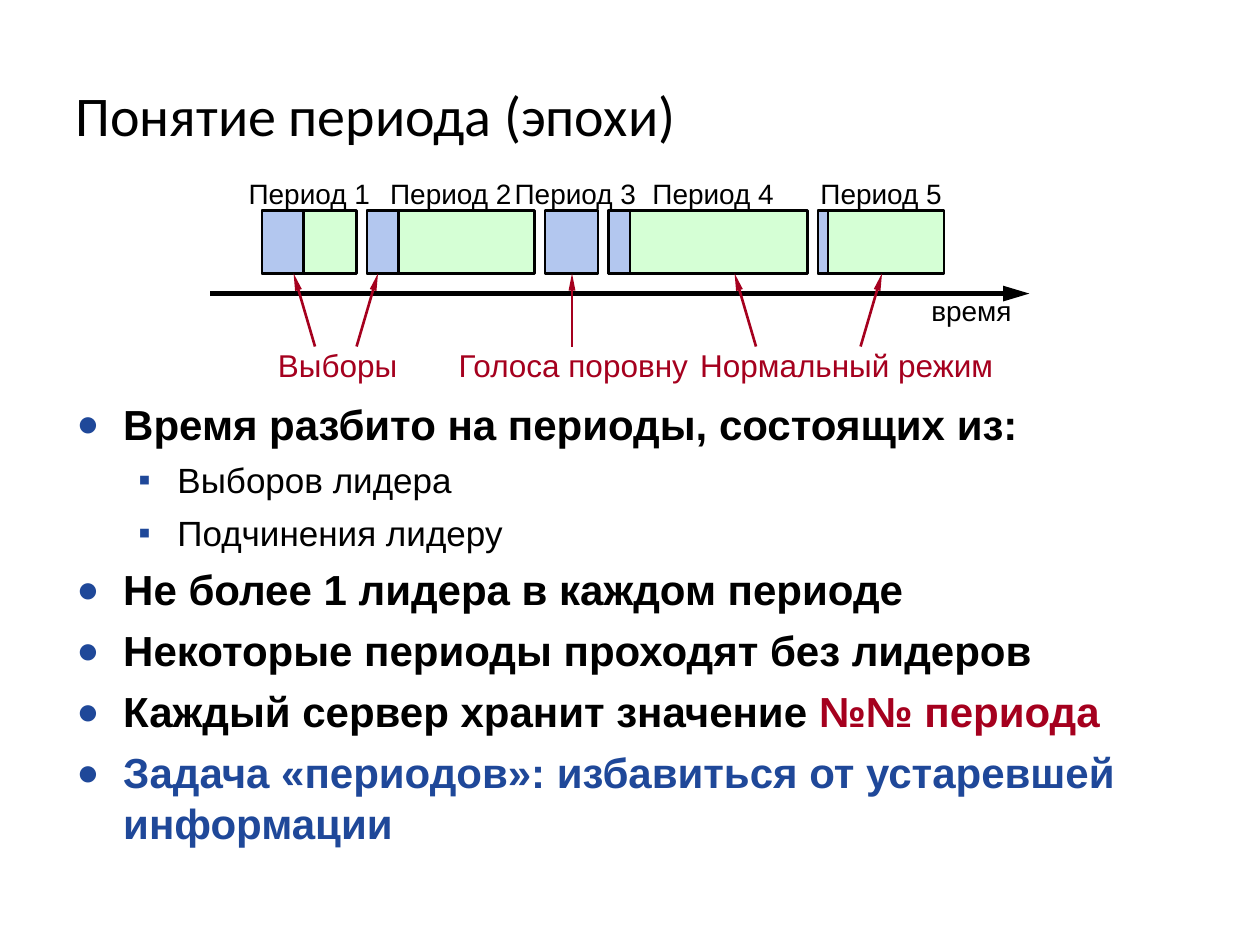
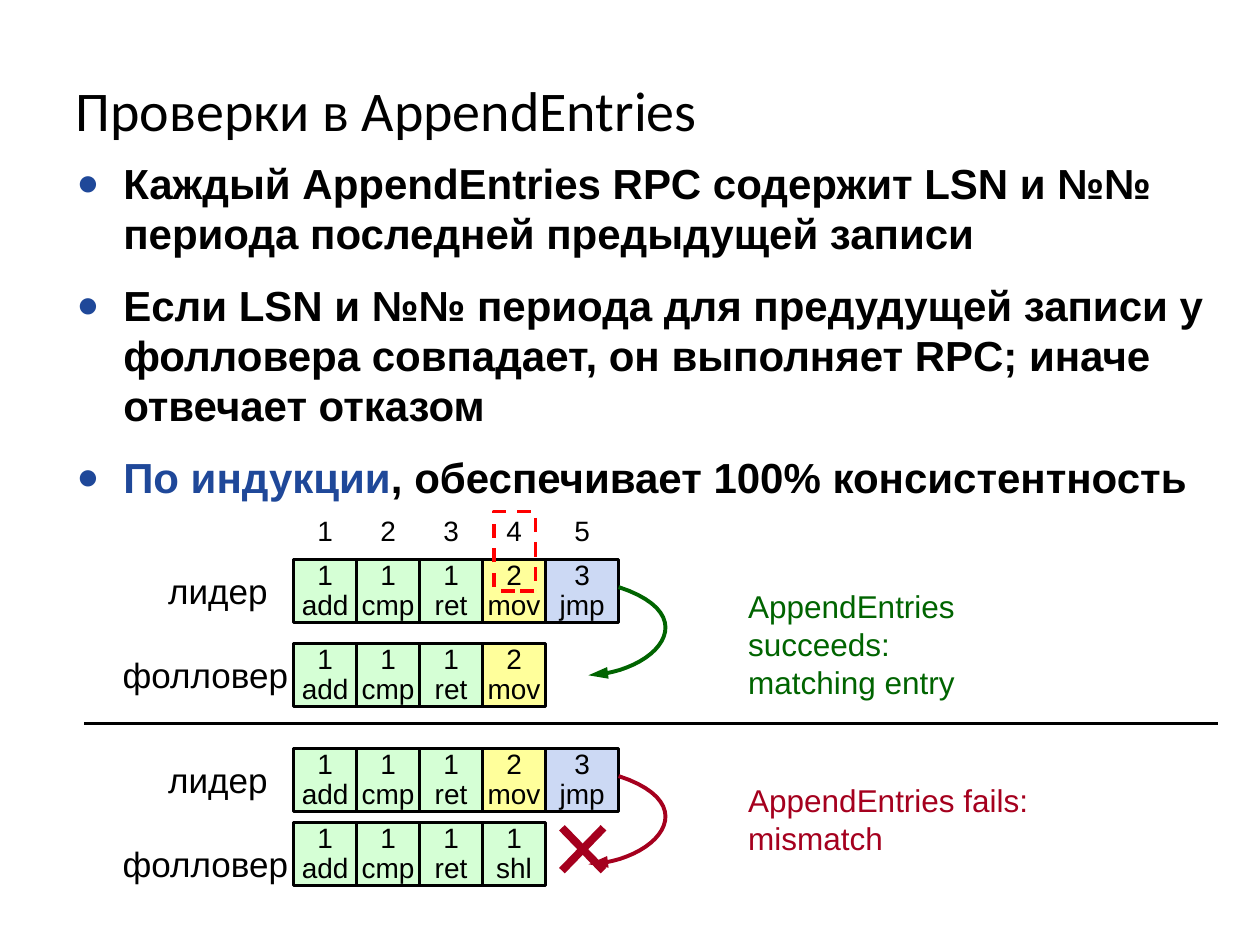
from lxml import etree
from pptx import Presentation
from pptx.dml.color import RGBColor
from pptx.enum.dml import MSO_LINE_DASH_STYLE as Dash
from pptx.enum.shapes import MSO_CONNECTOR_TYPE as Connector
from pptx.enum.shapes import MSO_SHAPE as Shape
from pptx.enum.text import MSO_ANCHOR as Anchor
from pptx.enum.text import PP_ALIGN as Align
from pptx.oxml.ns import qn
from pptx.util import Inches, Pt

BLACK = RGBColor(0x00, 0x00, 0x00)
BLUE = RGBColor(0x1F, 0x48, 0x99)
CRIMSON = RGBColor(0xA5, 0x00, 0x1E)
DARK_GREEN = RGBColor(0x00, 0x64, 0x00)
RED = RGBColor(0xFF, 0x00, 0x00)
MINT = RGBColor(0xD5, 0xFF, 0xD5)
PERIWINKLE = RGBColor(0xB3, 0xC7, 0xEF)
PALE_BLUE = RGBColor(0xCC, 0xD9, 0xF4)
YELLOW = RGBColor(0xFF, 0xFF, 0x9B)

# Per list level: bullet, its size in percent, left margin, hanging indent, text size, bold
LEVELS = [("●", 90, 0.38, -0.37, 24, True), ("▪", 100, 0.81, -0.31, 20, False)]

# Election width, whole width and label shift of each period
PERIODS = [(0.33, 0.75, 0), (0.25, 1.33, 0), (0.42, 0.42, 0.03),
           (0.17, 1.58, 0.04), (0.08, 1, 0)]
PERIOD_GAP = 1 / 12
POINTERS = [(0.83, 0.66), (1.16, 1.33), (2.87, 2.87), (4.33, 4.16), (5.16, 5.33)]
CAPTIONS = [("Выборы", 1.01), ("Голоса поровну", 2.88), ("Нормальный режим", 5.05)]

CELL = 0.5
LAST_CELL = 0.58
COMMON_LOG = [("1\nadd", MINT), ("1\ncmp", MINT), ("1\nret", MINT)]
MATCHING_LOG = COMMON_LOG + [("2\nmov", YELLOW)]
LEADER_LOG = MATCHING_LOG + [("3\njmp", PALE_BLUE)]
CONFLICTING_LOG = COMMON_LOG + [("1\nshl", MINT)]


def write(para, text, size=16, color=BLACK, bold=False, font="Arial", align=Align.LEFT):
    """Append formatted text to a paragraph; a newline becomes a line break."""
    para.alignment = align
    for number, line in enumerate(text.split("\n")):
        if number:
            para.add_line_break()
        span = para.add_run()
        span.text = line
        span.font.size = Pt(size)
        span.font.name = font
        span.font.bold = bold
        span.font.color.rgb = color


def clear_margins(frame):
    frame.margin_left = frame.margin_right = frame.margin_top = frame.margin_bottom = 0


def add_label(page, center, top, text, width=1, **style):
    """Place one unwrapped line of text centred on a point."""
    box = page.shapes.add_textbox(Inches(center - width / 2), Inches(top),
                                  Inches(width), Inches(0.3))
    box.text_frame.word_wrap = False
    clear_margins(box.text_frame)
    write(box.text_frame.paragraphs[0], text, align=Align.CENTER, **style)


def add_box(page, left, top, width, height, fill=None, line=BLACK, weight=1.5):
    box = page.shapes.add_shape(Shape.RECTANGLE, Inches(left), Inches(top),
                                Inches(width), Inches(height))
    box.shadow.inherit = False
    if fill is None:
        box.fill.background()
    else:
        box.fill.solid()
        box.fill.fore_color.rgb = fill
    box.line.color.rgb = line
    box.line.width = Pt(weight)
    return box


def style_stroke(stroke, color, weight, arrow):
    """Format a line; arrow is the width of its head, or None for no head."""
    stroke.line.color.rgb = color
    stroke.line.width = Pt(weight)
    if arrow:
        etree.SubElement(stroke.line._get_or_add_ln(), qn("a:tailEnd"),
                         type="triangle", w=arrow, len="lg")


def add_line(page, start, end, color=BLACK, weight=1.5, arrow=None):
    line = page.shapes.add_connector(Connector.STRAIGHT, *map(Inches, start + end))
    style_stroke(line, color, weight, arrow)
    etree.SubElement(line._element.spPr, qn("a:effectLst"))


def add_curved_arrow(page, points, color):
    """Draw a cubic curve through its four control points as short segments."""
    steps = 24
    curve = []
    for step in range(steps + 1):
        t = step / steps
        weights = ((1 - t) ** 3, 3 * t * (1 - t) ** 2, 3 * t ** 2 * (1 - t), t ** 3)
        curve.append(tuple(Inches(sum(w * point[axis] for w, point in zip(weights, points)))
                           for axis in (0, 1)))
    builder = page.shapes.build_freeform(*curve[0])
    builder.add_line_segments(curve[1:], close=False)
    arrow = builder.convert_to_shape()
    arrow.shadow.inherit = False
    arrow.fill.background()
    style_stroke(arrow, color, 2.25, "med")


def add_page(deck, title, top):
    page = deck.slides.add_slide(deck.slide_layouts[5])
    holder = page.shapes.title
    holder.left, holder.top = Inches(0.5), Inches(top)
    holder.width, holder.height = Inches(9), Inches(0.67)
    holder.text_frame.vertical_anchor = Anchor.MIDDLE
    write(holder.text_frame.paragraphs[0], title, size=32, font="Calibri")
    return page


def add_bullet(para, char, percent, margin, indent):
    props = para._p.get_or_add_pPr()
    props.set("marL", str(Inches(margin)))
    props.set("indent", str(Inches(indent)))
    color = etree.SubElement(props, qn("a:buClr"))
    etree.SubElement(color, qn("a:srgbClr"), val=str(BLUE))
    etree.SubElement(props, qn("a:buSzPct"), val=str(percent * 1000))
    etree.SubElement(props, qn("a:buFont"), typeface="Arial")
    etree.SubElement(props, qn("a:buChar"), char=char)


def add_list(page, left, top, width, height, items, gap):
    """Fill a box with items of the form (level, (text, colour), ...)."""
    frame = page.shapes.add_textbox(Inches(left), Inches(top),
                                    Inches(width), Inches(height)).text_frame
    frame.word_wrap = True
    for number, (level, *parts) in enumerate(items):
        para = frame.add_paragraph() if number else frame.paragraphs[0]
        char, percent, margin, indent, size, bold = LEVELS[level]
        para.level = level
        add_bullet(para, char, percent, margin, indent)
        para.space_before = Pt(gap if number else 0)
        for text, color in parts:
            write(para, text, size=size, color=color, bold=bold)


def add_timeline(page, left, top):
    height = 0.5
    axis = top + 0.66
    add_line(page, (left, axis), (left + 6.5, axis), weight=3, arrow="med")
    add_label(page, left + 6.04, axis, "время")
    start = left + 0.41
    for number, (election, width, shift) in enumerate(PERIODS, 1):
        if election < width:
            add_box(page, start, top, width, height, MINT)
        add_box(page, start, top, election, height, PERIWINKLE)
        add_label(page, start + width / 2 + shift, top - 0.27, f"Период {number}")
        start += width + PERIOD_GAP
    for tail, head in POINTERS:
        add_line(page, (left + tail, top + 1.08), (left + head, top + height),
                 CRIMSON, arrow="sm")
    for text, center in CAPTIONS:
        add_label(page, left + center, top + 1.08, text, width=2.5, size=18, color=CRIMSON)


def cell_spans(left):
    """Return the left edge and width of each of the five log cells."""
    return [(left + CELL * index, LAST_CELL if index == 4 else CELL) for index in range(5)]


def add_log(page, left, top, entries):
    for (start, width), (text, fill) in zip(cell_spans(left), entries):
        frame = add_box(page, start, top, width, CELL, fill).text_frame
        clear_margins(frame)
        frame.vertical_anchor = Anchor.MIDDLE
        para = frame.paragraphs[0]
        para.line_spacing = Pt(17)
        write(para, text, align=Align.CENTER)


def add_exchange(page, left, top, follower_log, follower_top, message, message_top, color):
    """Show the leader's log, the follower's log and the outcome of the call."""
    add_log(page, left, top, LEADER_LOG)
    add_log(page, left, top + follower_top, follower_log)
    add_label(page, left - 0.6, top + 0.08, "лидер", size=20)
    add_label(page, left - 0.7, top + 0.75, "фолловер", width=1.5, size=20)
    controls = [(2.58, 0.22), (3.28, 0.45), (2.87, 0.9), (2.34, 0.92)]
    add_curved_arrow(page, [(left + x, top + y) for x, y in controls], color)
    frame = page.shapes.add_textbox(Inches(left + 3.51), Inches(top + message_top),
                                    Inches(2.5), Inches(0.7)).text_frame
    frame.word_wrap = True
    for number, text in enumerate(message):
        para = frame.add_paragraph() if number else frame.paragraphs[0]
        write(para, text, size=18, color=color)


def add_cross(page, left, top, width, height):
    right, bottom = left + width, top + height
    add_line(page, (left, top), (right, bottom), CRIMSON, 4.5)
    add_line(page, (left, bottom), (right, top), CRIMSON, 4.5)


def add_log_checks(page, left, top):
    for number, (start, width) in enumerate(cell_spans(left), 1):
        add_label(page, start + width / 2, top - 0.36, str(number))
    add_exchange(page, left, top, MATCHING_LOG, 0.67,
                 ["AppendEntries succeeds:", "matching entry"], 0.17, DARK_GREEN)
    add_exchange(page, left, top + 1.5, CONFLICTING_LOG, 0.59,
                 ["AppendEntries fails:", "mismatch"], 0.21, CRIMSON)
    add_cross(page, left + 2.13, top + 2.13, 0.33, 0.34)
    checked_entry = add_box(page, left + 1.59, top - 0.38, 0.33, 0.63, line=RED, weight=2)
    checked_entry.line.dash_style = Dash.DASH
    add_line(page, (left - 1.66, top + 1.3), (left + 7.34, top + 1.3))


def add_periods_page(deck):
    page = add_page(deck, "Понятие периода (эпохи)", 0.57)
    add_list(page, 0.5, 3.11, 9, 3.2, [
        (0, ("Время разбито на периоды, состоящих из:", BLACK)),
        (1, ("Выборов лидера", BLACK)),
        (1, ("Подчинения лидеру", BLACK)),
        (0, ("Не более 1 лидера в каждом периоде", BLACK)),
        (0, ("Некоторые периоды проходят без лидеров", BLACK)),
        (0, ("Каждый сервер хранит значение ", BLACK), ("№№ периода", CRIMSON)),
        (0, ("Задача «периодов»: избавиться от устаревшей информации", BLUE)),
    ], gap=6)
    add_timeline(page, 1.67, 1.67)


def add_checks_page(deck):
    page = add_page(deck, "Проверки в AppendEntries", 0.53)
    add_list(page, 0.5, 1.2, 9.21, 2.67, [
        (0, ("Каждый AppendEntries RPC содержит LSN и №№ периода "
             "последней предыдущей записи", BLACK)),
        (0, ("Если LSN и №№ периода для предудущей записи у фолловера "
             "совпадает, он выполняет RPC; иначе отвечает отказом", BLACK)),
        (0, ("По индукции", BLUE), (", обеспечивает 100% консистентность", BLACK)),
    ], gap=12)
    add_log_checks(page, 2.33, 4.44)


def main():
    deck = Presentation()
    deck.slide_width, deck.slide_height = Inches(10), Inches(7.5)
    add_periods_page(deck)
    add_checks_page(deck)
    deck.save("out.pptx")


if __name__ == "__main__":
    main()
